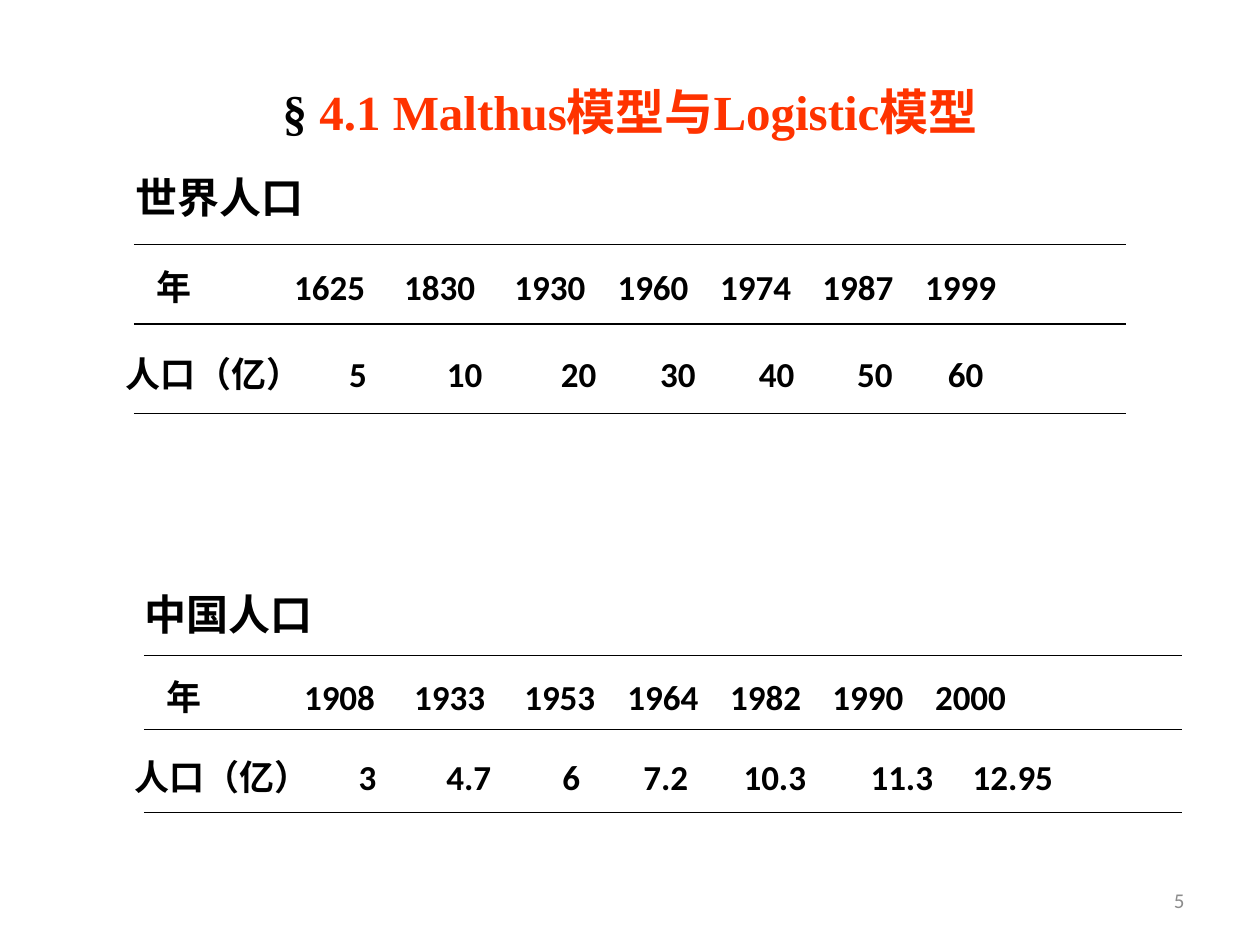
from lxml.etree import SubElement
from pptx import Presentation
from pptx.dml.color import RGBColor
from pptx.enum.shapes import MSO_CONNECTOR
from pptx.enum.text import MSO_ANCHOR, PP_ALIGN
from pptx.oxml.ns import qn
from pptx.util import Cm, Pt

COLORS = {"text": "000000", "accent": "FF3300", "number": "8C8C8C"}
TITLE = [("§", "text"), (" 4.1 Malthus模型与Logistic模型", "accent")]
PAGE_NUMBER = "5"
YEAR_STOPS = [2.78, 5, 7.22, 9.3, 11.37, 13.43, 15.5]
POPULATIONS = [
    {
        "heading": ("世界人口", 2.49, 3.33, 4.4),
        "years": ("年", [1625, 1830, 1930, 1960, 1974, 1987, 1999],
                  YEAR_STOPS, 2.9, 5.23, 20.4),
        "people": ("人口（亿）", [5, 10, 20, 30, 40, 50, 60],
                   [4.5, 6.47, 8.77, 10.77, 12.76, 14.74, 16.57], 2.29, 6.99, 21.2),
        "rules": (2.7, 22.69, [4.93, 6.53, 8.33]),
    },
    {
        "heading": ("中国人口", 2.67, 11.73, 4.6),
        "years": ("年", [1908, 1933, 1953, 1964, 1982, 1990, 2000],
                  YEAR_STOPS, 3.1, 13.49, 21.36),
        "people": ("人口（亿）", [3, 4.7, 6, 7.2, 10.3, 11.3, 12.95],
                   [4.52, 6.29, 8.63, 10.26, 12.28, 14.84, 16.9], 2.46, 15.11, 22.2),
        "rules": (2.9, 23.83, [13.21, 14.71, 16.38]),
    },
]


def style(font, size, color, bold=True, name="Calibri"):
    font.name, font.size, font.bold = name, Pt(size), bold
    font.color.rgb = RGBColor.from_string(COLORS[color])


def add_text(slide, text, left, top, width, height, size, stops=(), color="text", bold=True):
    frame = slide.shapes.add_textbox(Cm(left), Cm(top), Cm(width), Cm(height)).text_frame
    frame.word_wrap = True
    paragraph = frame.paragraphs[0]
    paragraph.text = text
    if stops:
        tabs = SubElement(paragraph._p.get_or_add_pPr(), qn("a:tabLst"))
        for stop in stops:
            SubElement(tabs, qn("a:tab"), pos=str(Cm(stop)), algn="l")
    for run in paragraph.runs:
        style(run.font, size, color, bold)
    return frame


def add_rule(slide, left, right, y):
    rule = slide.shapes.add_connector(MSO_CONNECTOR.STRAIGHT, Cm(left), Cm(y), Cm(right), Cm(y))
    rule.line.color.rgb = RGBColor.from_string(COLORS["text"])
    rule.line.width = Pt(0.75)
    SubElement(rule._element.spPr, qn("a:effectLst"))


def add_population(slide, population):
    left, right, heights = population["rules"]
    for y in heights:
        add_rule(slide, left, right, y)
    heading, left, top, width = population["heading"]
    add_text(slide, heading, left, top, width, 1.27, 24)
    for row in ("years", "people"):
        label, values, stops, left, top, width = population[row]
        text = "\t".join([label, *map(str, values)])
        add_text(slide, text, left, top, width, 1.09, 20, stops)


def add_title(slide):
    title = slide.shapes.title
    title.left, title.top, title.width, title.height = Cm(1.9), Cm(0.64), Cm(21.6), Cm(3.18)
    title.text_frame.vertical_anchor = MSO_ANCHOR.MIDDLE
    paragraph = title.text_frame.paragraphs[0]
    paragraph.alignment = PP_ALIGN.CENTER
    for text, color in TITLE:
        run = paragraph.add_run()
        run.text = text
        style(run.font, 28, color, name="Times New Roman")


def main():
    deck = Presentation()
    deck.slide_width, deck.slide_height = Cm(25.4), Cm(19.05)
    slide = deck.slides.add_slide(deck.slide_layouts[5])
    add_title(slide)
    for population in POPULATIONS:
        add_population(slide, population)
    number = add_text(slide, PAGE_NUMBER, 18.2, 17.65, 5.93, 1.01, 12, color="number", bold=False)
    number.vertical_anchor = MSO_ANCHOR.MIDDLE
    number.paragraphs[0].alignment = PP_ALIGN.RIGHT
    deck.save("out.pptx")


if __name__ == "__main__":
    main()
